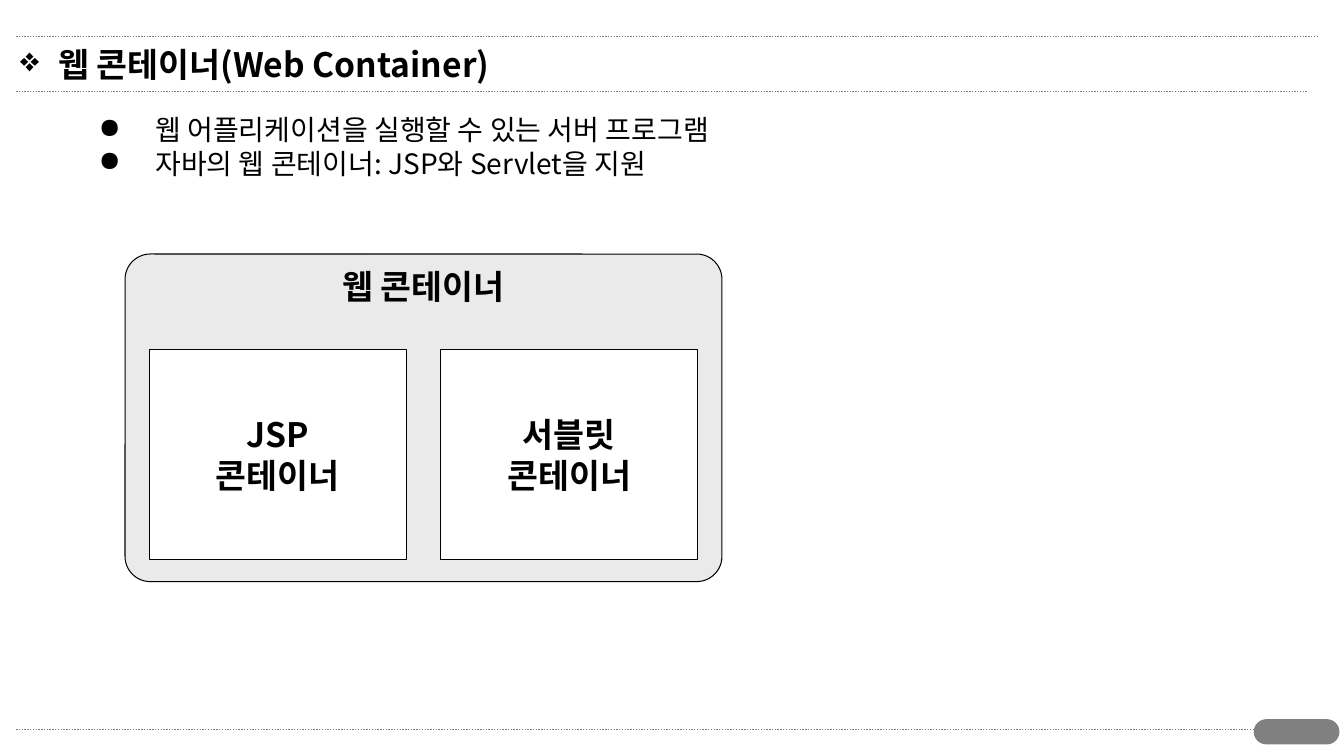
from lxml import etree
from pptx import Presentation
from pptx.dml.color import RGBColor
from pptx.enum.dml import MSO_LINE
from pptx.enum.shapes import MSO_CONNECTOR, MSO_SHAPE
from pptx.enum.text import MSO_ANCHOR, PP_ALIGN
from pptx.oxml.ns import qn
from pptx.util import Inches, Pt

STRAIGHT = MSO_CONNECTOR.STRAIGHT
RECTANGLE, ROUNDED = MSO_SHAPE.RECTANGLE, MSO_SHAPE.ROUNDED_RECTANGLE
TOP, MIDDLE = MSO_ANCHOR.TOP, MSO_ANCHOR.MIDDLE
LEFT, CENTER = PP_ALIGN.LEFT, PP_ALIGN.CENTER
DOTTED = MSO_LINE.ROUND_DOT

FONT = "Noto Sans CJK KR"
COLORS = {"text": "000000", "rule": "808080", "panel": "EAEAEA", "card": "FFFFFF"}
HEADING = {"size": Pt(24), "bold": True, "name": FONT}
BODY = {"size": Pt(20), "bold": False, "name": FONT}


def color(name):
    """Return the named colour."""
    return RGBColor.from_string(COLORS[name])


def write(frame, lines, style, align=LEFT, anchor=TOP, bullet=None, indent=0):
    """Fill a text frame with one formatted paragraph per line."""
    frame.word_wrap = True
    frame.vertical_anchor = anchor
    for index, line in enumerate(lines):
        paragraph = frame.paragraphs[0] if index == 0 else frame.add_paragraph()
        paragraph.alignment = align
        if bullet:
            properties = paragraph._p.get_or_add_pPr()
            properties.set("marL", str(Inches(indent)))
            properties.set("indent", str(-Inches(indent)))
            etree.SubElement(properties, qn("a:buChar")).set("char", bullet)
        run = paragraph.add_run()
        run.text = line
        for attribute, value in style.items():
            setattr(run.font, attribute, value)
        run.font.color.rgb = color("text")
        etree.SubElement(run._r.get_or_add_rPr(), qn("a:ea")).set("typeface", FONT)


def add_block(slide, kind, box, fill, line, radius=None):
    """Draw a filled and outlined shape in the box."""
    block = slide.shapes.add_shape(kind, *map(Inches, box))
    block.shadow.inherit = False
    block.fill.solid()
    block.fill.fore_color.rgb = color(fill)
    block.line.color.rgb = color(line)
    block.line.width = Pt(0.75)
    if radius is not None:
        block.adjustments[0] = radius
    return block


def add_rule(slide, left, right, y):
    """Draw a dotted horizontal rule."""
    rule = slide.shapes.add_connector(STRAIGHT, *map(Inches, (left, y, right, y)))
    rule.line.color.rgb = color("rule")
    rule.line.width = Pt(1)
    rule.line.dash_style = DOTTED
    etree.SubElement(rule._element.spPr, qn("a:effectLst"))


def add_frame(slide, box):
    """Draw the header and footer rules and the footer tab around the box."""
    left, top, width, height = box
    right, bottom = left + width, top + height
    add_rule(slide, left, right, bottom)
    add_rule(slide, left, right, top + 0.55)
    add_rule(slide, left, right + 0.1, top)
    add_block(slide, ROUNDED, (right - 0.53, bottom - 0.1, 0.84, 0.24), "rule", "rule", 0.5)


def add_text(slide, box, lines, style, **layout):
    """Place a text box in the box."""
    write(slide.shapes.add_textbox(*map(Inches, box)).text_frame, lines, style, **layout)


def add_container(slide, box, title, cards):
    """Draw a titled container with equal cards side by side."""
    left, top, width, height = box
    panel = add_block(slide, ROUNDED, box, "panel", "text", 0.077)
    write(panel.text_frame, [title], HEADING, CENTER)
    margin, gap, card_top, card_height = 0.24, 0.34, 0.95, 2.08
    card_width = (width - 2 * margin - gap * (len(cards) - 1)) / len(cards)
    for index, lines in enumerate(cards):
        card_left = left + margin + index * (card_width + gap)
        card_box = (card_left, top + card_top, card_width, card_height)
        card = add_block(slide, RECTANGLE, card_box, "card", "text")
        write(card.text_frame, lines, HEADING, CENTER, MIDDLE)


def main():
    """Build and save the slide."""
    deck = Presentation()
    deck.slide_width, deck.slide_height = Inches(13.33), Inches(7.5)
    slide = deck.slides.add_slide(deck.slide_layouts[6])
    add_frame(slide, (0.16, 0.36, 12.81, 6.88))
    add_text(slide, (0.1, 0.28, 5.59, 0.71), ["웹 콘테이너(Web Container)"], HEADING,
             anchor=MIDDLE, bullet="❖", indent=0.38)
    features = [" 웹 어플리케이션을 실행할 수 있는 서버 프로그램",
                " 자바의 웹 콘테이너: JSP와 Servlet을 지원"]
    add_text(slide, (0.88, 1.07, 6.97, 0.77), features, BODY, bullet="●", indent=0.5)
    add_container(slide, (1.24, 2.52, 5.92, 3.25), "웹 콘테이너",
                  [["JSP", "콘테이너"], ["서블릿", "콘테이너"]])
    deck.save("out.pptx")


if __name__ == "__main__":
    main()
